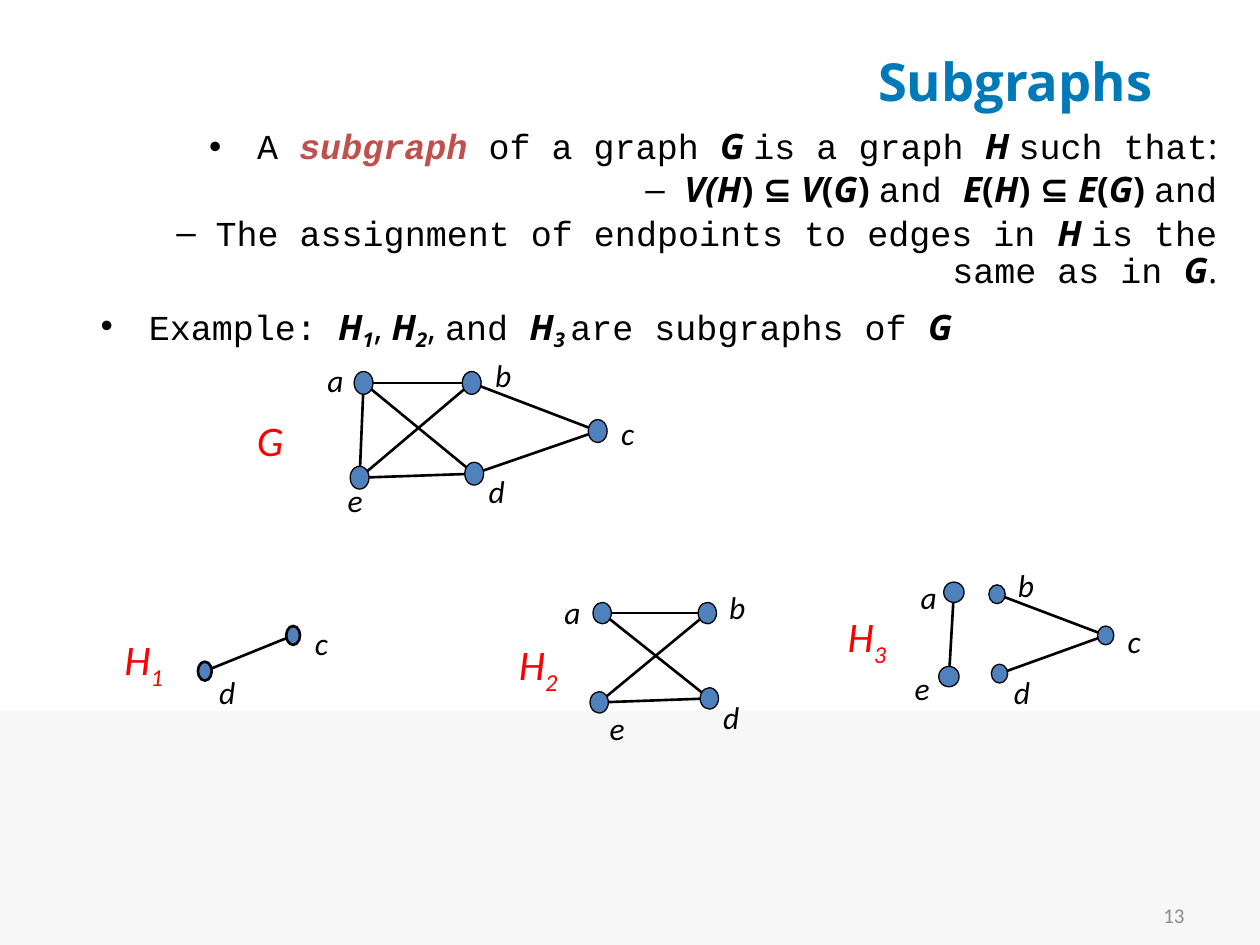
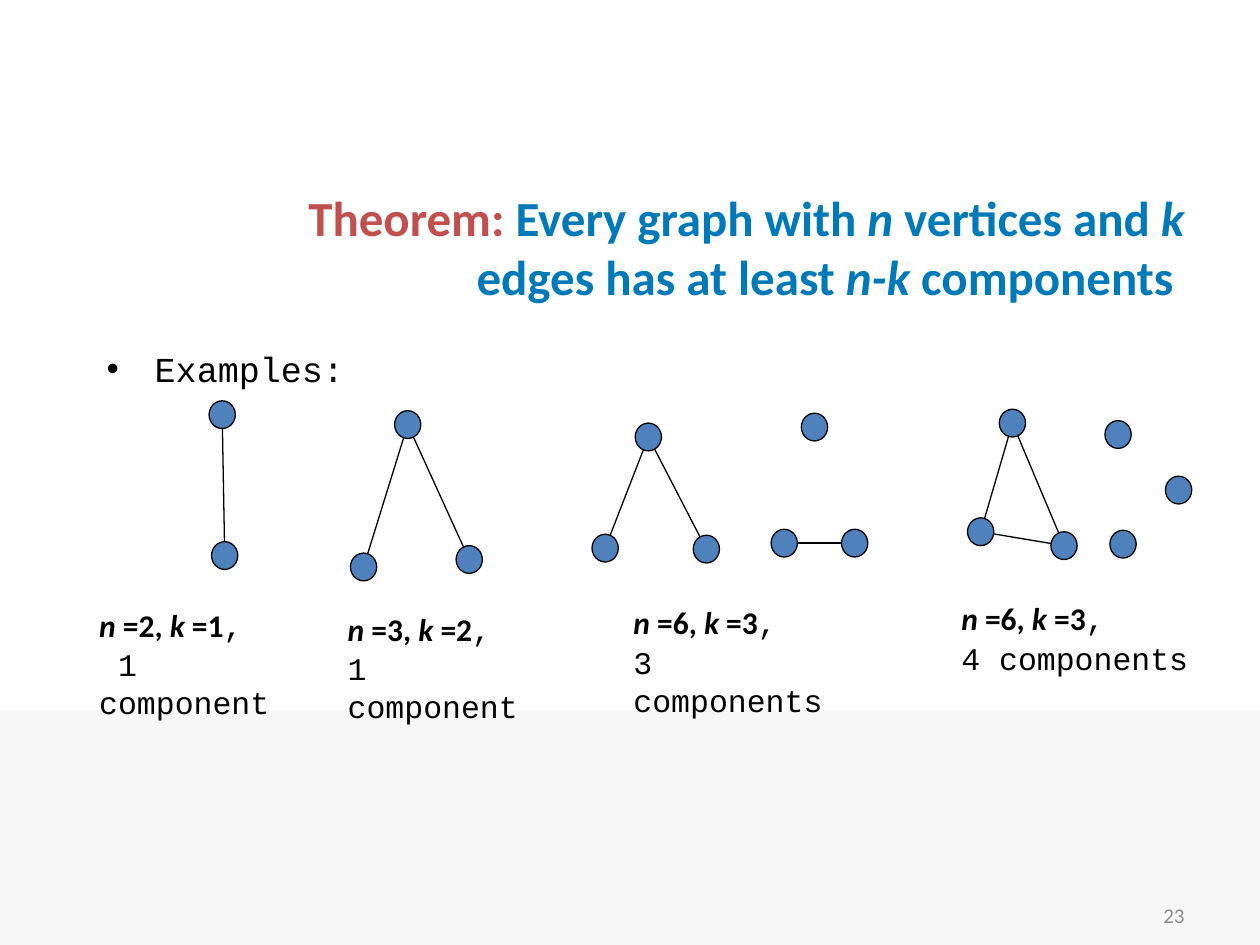
"""Builds two graph theory slides: subgraphs, and components of a graph."""
import math

from lxml import etree
from pptx import Presentation
from pptx import util as u
from pptx.dml.color import RGBColor
from pptx.enum import shapes, text
from pptx.oxml import ns

COLORS = {
    "ink": "000000", "title": "0079B8", "term": "C0504D", "vertex": "4F81BD",
    "name": "FF0000", "band": "F7F7F7", "number": "8C8C8C",
}
# style: font, size, colour, bold, italic, baseline in percent
STYLES = {
    "heading": ("Open Sans", 30, "title", True, False, 0),
    "theorem": ("Calibri", 28, "term", True, False, 0),
    "claim": ("Calibri", 28, "title", True, False, 0),
    "claim var": ("Calibri", 28, "title", True, True, 0),
    "mono": ("Courier New", 20, "ink", False, False, 0),
    "term": ("Courier New", 20, "term", True, True, 0),
    "var": ("Open Sans", 20, "ink", True, True, 0),
    "sub": ("Open Sans", 20, "ink", True, True, -20),
    "sign": ("Open Sans", 20, "ink", True, False, 0),
    "plain": ("Open Sans", 20, "ink", False, False, 0),
    "label": ("Calibri", 18, "ink", False, True, 0),
    "name": ("Calibri", 24, "name", False, True, 0),
    "name sub": ("Calibri", 24, "name", False, True, -25),
    "count": ("Calibri", 18, "ink", True, False, 0),
    "count var": ("Calibri", 18, "ink", True, True, 0),
    "caption": ("Courier New", 18, "ink", False, False, 0),
    "number": ("Calibri", 12, "number", False, False, 0),
}
RIGHT = text.PP_ALIGN.RIGHT
LEFT = text.PP_ALIGN.LEFT

DEFINITION = [
    ("A ", "mono"), ("subgraph", "term"), (" of a graph ", "mono"), ("G ", "var"),
    ("is a graph ", "mono"), ("H ", "var"), ("such that", "mono"), (":", "plain"),
]
INCLUSION = [
    ("V(H", "var"), (") ⊆ ", "sign"), ("V", "var"), ("(", "sign"), ("G", "var"),
    (") ", "sign"), ("and ", "mono"), ("E", "var"), ("(", "sign"), ("H", "var"),
    (") ⊆ ", "sign"), ("E", "var"), ("(", "sign"), ("G", "var"), (") ", "sign"),
    ("and", "mono"),
]
ENDPOINTS = [
    ("The assignment of endpoints to edges in ", "mono"), ("H ", "var"),
    ("is the same as in ", "mono"), ("G", "var"), (".", "plain"),
]
EXAMPLE = [
    ("Example: ", "mono"), ("H", "var"), ("1", "sub"), (", ", "plain"),
    ("H", "var"), ("2", "sub"), (", ", "plain"), ("and ", "mono"),
    ("H", "var"), ("3 ", "sub"), ("are subgraphs of ", "mono"), ("G", "var"),
]
THEOREM = [
    ("Theorem:", "theorem"), (" Every graph with ", "claim"), ("n", "claim var"),
    (" vertices and ", "claim"), ("k", "claim var"),
    (" edges has at least ", "claim"), ("n-k", "claim var"),
    (" components ", "claim"),
]

# vertices: centre; edges: pairs of vertex letters; labels: left and top
SUBGRAPHS = [
    {"size": (0.28, 0.38), "outline": 1.5, "edges": "dc",
     "vertices": {"d": (4.13, 13.53), "c": (5.91, 12.81)},
     "labels": {"c": (6.1, 12.45), "d": (4.17, 13.44)}},
    {"size": (0.37, 0.43), "edges": "ed ab eb ad",
     "vertices": {"a": (12.14, 12.36), "b": (14.26, 12.36),
                  "d": (14.3, 14.08), "e": (12.08, 14.16)},
     "labels": {"a": (11.13, 11.84), "b": (14.45, 11.73),
                "d": (14.33, 13.94), "e": (12.04, 14.17)}},
    {"size": (0.41, 0.41), "edges": "ae",
     "vertices": {"a": (19.23, 11.94), "e": (19.13, 13.64)},
     "labels": {"a": (18.31, 11.53), "e": (18.19, 13.36)}},
    {"size": (0.33, 0.38), "edges": "dc bc",
     "vertices": {"b": (20.1, 11.98), "c": (22.29, 12.81), "d": (20.15, 13.58)},
     "labels": {"b": (20.27, 11.28), "c": (22.48, 12.42), "d": (20.19, 13.44)}},
    {"size": (0.38, 0.46), "edges": "ae ed dc bc ab eb ad",
     "vertices": {"a": (7.33, 7.72), "b": (9.51, 7.72), "c": (12.05, 8.69),
                  "d": (9.56, 9.55), "e": (7.25, 9.63)},
     "labels": {"a": (6.35, 7.16), "b": (9.73, 7.06), "c": (12.27, 8.23),
                "d": (9.6, 9.4), "e": (6.76, 9.58)}},
]
GRAPH_NAMES = [
    ("G", "", 4.93, 8.23), ("H", "1", 2.26, 12.65),
    ("H", "2", 10.21, 12.75), ("H", "3", 16.84, 12.19),
]
COMPONENT_EXAMPLES = [
    {"vertices": {"a": (4.48, 8.36), "b": (4.53, 11.2)}, "edges": "ab",
     "n": 2, "k": 1, "components": " 1 component", "caption": (1.75, 12.09, 4.78)},
    {"vertices": {"a": (8.22, 8.56), "b": (7.33, 11.43), "c": (9.46, 11.28)},
     "edges": "ab ac",
     "n": 3, "k": 2, "components": "1 component", "caption": (6.76, 12.17, 4.55)},
    {"vertices": {"a": (13.07, 8.81), "b": (12.2, 11.05), "c": (14.24, 11.07),
                  "d": (16.42, 8.61), "e": (15.81, 10.95), "f": (17.23, 10.95)},
     "edges": "ab ac ef",
     "n": 6, "k": 3, "components": "3 components", "caption": (12.52, 12.04, 4.88)},
    {"vertices": {"a": (20.41, 8.53), "b": (19.77, 10.72), "c": (21.45, 11),
                  "d": (22.54, 8.76), "e": (23.76, 9.88), "f": (22.64, 10.97)},
     "edges": "ab ac bc",
     "n": 6, "k": 3, "components": "4 components", "caption": (19.13, 11.96, 5.11)},
]


def color(key):
    """Return the named colour."""
    return RGBColor.from_string(COLORS[key])


def write(paragraph, parts, align=LEFT, before=0):
    """Fill a paragraph with (words, style) parts."""
    paragraph.alignment = align
    paragraph.space_before = u.Pt(before)
    for words, style in parts:
        font_name, size, ink, bold, italic, baseline = STYLES[style]
        run = paragraph.add_run()
        run.text = words
        run.font.name = font_name
        run.font.size = u.Pt(size)
        run.font.bold = bold
        run.font.italic = italic
        run.font.color.rgb = color(ink)
        if baseline:
            run.font._element.set("baseline", str(baseline * 1000))


def hang(paragraph, left, hanging, bullet=None):
    """Give a paragraph a hanging indent and, if asked, a bullet."""
    props = paragraph._p.get_or_add_pPr()
    props.set("marL", str(u.Cm(left)))
    props.set("indent", str(-u.Cm(hanging)))
    if bullet:
        etree.SubElement(props, ns.qn("a:buFont"), typeface="Arial")
        etree.SubElement(props, ns.qn("a:buChar"), char=bullet)


def add_frame(slide, left, top, width, height):
    """Add a wrapping text box and return its text frame."""
    frame = slide.shapes.add_textbox(*map(u.Cm, (left, top, width, height))).text_frame
    frame.word_wrap = True
    return frame


def next_paragraph(frame, index):
    """Return the first paragraph of a frame, or a new one after it."""
    return frame.add_paragraph() if index else frame.paragraphs[0]


def add_bullets(slide, box, points, line_spacing=1.0):
    """Add bullet points given as (level, alignment, space before, parts)."""
    frame = add_frame(slide, *box)
    for index, (level, align, before, parts) in enumerate(points):
        point = next_paragraph(frame, index)
        left, hanging, bullet = [(0.97, 0.97, "•"), (2.06, 0.79, "–")][level]
        hang(point, left, hanging, bullet)
        point.line_spacing = line_spacing
        write(point, parts, align, before)


def add_slide(deck, number, title_parts, title_box):
    """Add a slide with its band, title and slide number."""
    slide = deck.slides.add_slide(deck.slide_layouts[5])
    band = slide.shapes.add_shape(
        shapes.MSO_SHAPE.RECTANGLE, 0, u.Cm(14.33), deck.slide_width, u.Cm(4.72))
    band.shadow.inherit = False
    band.fill.solid()
    band.fill.fore_color.rgb = color("band")
    band.line.fill.background()

    title = slide.shapes.title
    title.left, title.top, title.width, title.height = map(u.Cm, title_box)
    title.text_frame.vertical_anchor = text.MSO_ANCHOR.MIDDLE
    write(title.text_frame.paragraphs[0], title_parts, RIGHT)

    footer = add_frame(slide, 18.21, 17.93, 5.92, 1.02)
    footer.vertical_anchor = text.MSO_ANCHOR.MIDDLE
    write(footer.paragraphs[0], [(str(number), "number")], RIGHT)
    return slide


def rim_point(center, toward, size):
    """Return where the line from center toward a point leaves the vertex."""
    dx, dy = toward[0] - center[0], toward[1] - center[1]
    reach = 1 / math.hypot(dx / (size[0] / 2), dy / (size[1] / 2))
    return center[0] + dx * reach, center[1] + dy * reach


def add_edge(slide, start, end, size, weight):
    """Join two vertices from rim to rim."""
    ends = rim_point(start, end, size) + rim_point(end, start, size)
    edge = slide.shapes.add_connector(shapes.MSO_CONNECTOR.STRAIGHT, *map(u.Cm, ends))
    edge.line.color.rgb = color("ink")
    edge.line.width = u.Pt(weight)
    etree.SubElement(edge._element.spPr, ns.qn("a:effectLst"))


def add_vertex(slide, center, size, outline):
    """Draw one vertex around its centre."""
    corner = [middle - extent / 2 for middle, extent in zip(center, size)]
    vertex = slide.shapes.add_shape(
        shapes.MSO_SHAPE.OVAL, *map(u.Cm, (*corner, *size)))
    vertex.shadow.inherit = False
    vertex.fill.solid()
    vertex.fill.fore_color.rgb = color("vertex")
    vertex.line.color.rgb = color("ink")
    vertex.line.width = u.Pt(outline)


def add_graph(slide, graph, edge_weight):
    """Draw the edges, vertices and vertex labels of a graph."""
    size = graph.get("size", (0.53, 0.56))
    vertices = graph["vertices"]
    for start, end in graph["edges"].split():
        add_edge(slide, vertices[start], vertices[end], size, edge_weight)
    for center in vertices.values():
        add_vertex(slide, center, size, graph.get("outline", 0.75))
    for letter, (left, top) in graph.get("labels", {}).items():
        label = add_frame(slide, left, top, 1.04, 1.02)
        write(label.paragraphs[0], [(letter, "label")])


def add_caption(slide, example):
    """Write the counts of vertices, edges and components of an example."""
    frame = add_frame(slide, *example["caption"], 1.85)
    counts = [
        ("n ", "count var"), (f"={example['n']}, ", "count"),
        ("k ", "count var"), (f"={example['k']}", "count"), (",", "caption"),
    ]
    write(frame.paragraphs[0], counts)
    write(frame.add_paragraph(), [(example["components"], "caption")], before=1)


def build_subgraphs(deck):
    """Build the slide that defines subgraphs."""
    slide = add_slide(deck, 13, [("Subgraphs", "heading")], (1.9, 0.46, 21.59, 2.31))
    add_bullets(slide, (1.78, 2.49, 23.01, 13.84), [
        (0, RIGHT, 0, DEFINITION),
        (1, RIGHT, 3, INCLUSION),
        (1, RIGHT, 3, ENDPOINTS),
        (0, LEFT, 9, EXAMPLE),
    ], line_spacing=0.9)
    for graph in SUBGRAPHS:
        add_graph(slide, graph, 1.5)
    for letter, index, left, top in GRAPH_NAMES:
        name = add_frame(slide, left, top, 2.57 if index else 1.42, 1.3)
        parts = [(letter, "name")] + ([(index, "name sub")] if index else [])
        write(name.paragraphs[0], parts)


def build_components(deck):
    """Build the slide on the number of components."""
    slide = add_slide(deck, 23, THEOREM, (4.5, 3.38, 19.63, 3.18))
    hang(slide.shapes.title.text_frame.paragraphs[0], 1.35, 1.35)
    add_bullets(slide, (1.9, 6.88, 21.59, 1.55), [
        (0, LEFT, 0, [("Examples:", "mono")]),
    ])
    for example in COMPONENT_EXAMPLES:
        add_graph(slide, example, 0.75)
        add_caption(slide, example)


def main():
    """Build and save the deck."""
    deck = Presentation()
    deck.slide_width, deck.slide_height = u.Cm(25.4), u.Cm(19.05)
    build_subgraphs(deck)
    build_components(deck)
    deck.save("out.pptx")


if __name__ == "__main__":
    main()
